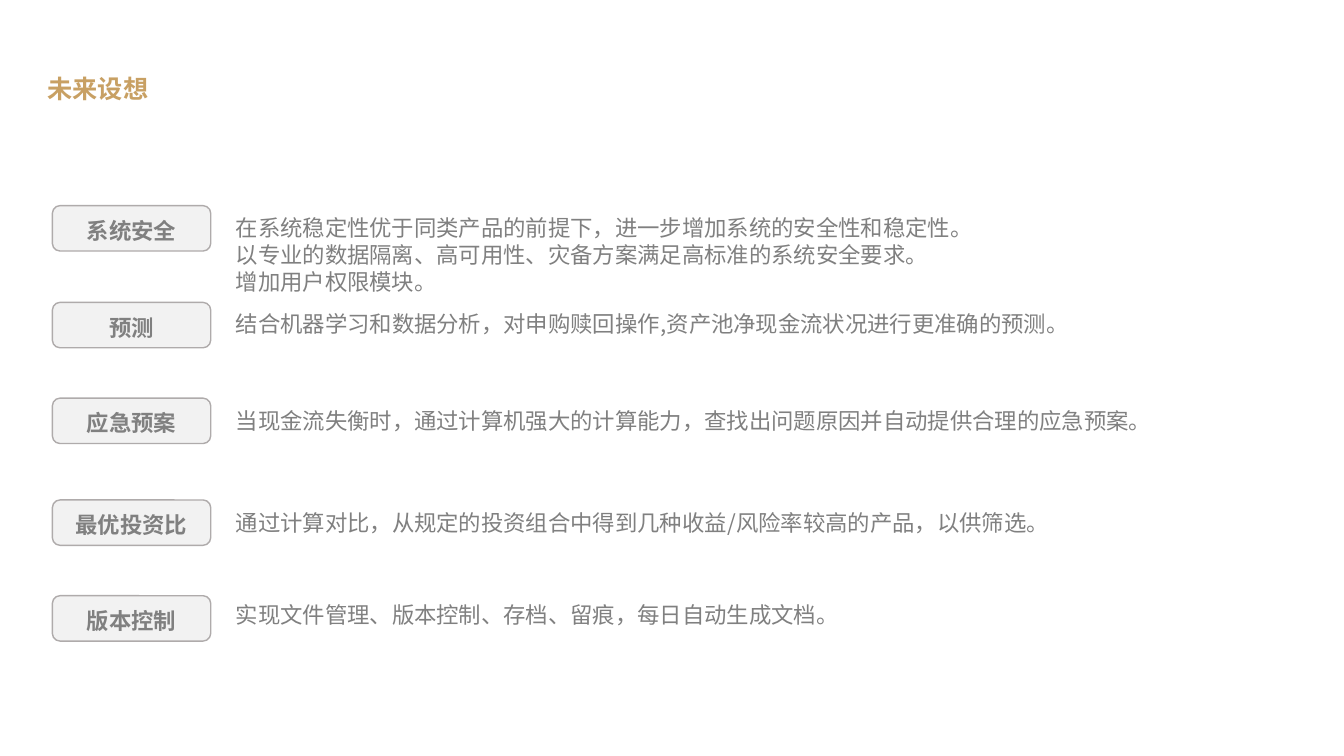
from dataclasses import dataclass

from lxml import etree
from pptx import Presentation
from pptx.dml.color import RGBColor
from pptx.enum.shapes import MSO_SHAPE
from pptx.enum.text import MSO_ANCHOR, MSO_AUTO_SIZE, PP_ALIGN
from pptx.oxml.ns import qn
from pptx.util import Pt

ROUND = MSO_SHAPE.ROUNDED_RECTANGLE
TOP, BOTTOM = MSO_ANCHOR.TOP, MSO_ANCHOR.BOTTOM
FIXED = MSO_AUTO_SIZE.NONE
LEFT, CENTER = PP_ALIGN.LEFT, PP_ALIGN.CENTER
TITLE_ONLY = 5
SCALE = 9144


@dataclass(frozen=True)
class Theme:
    """Colours, font and type sizes of the slide."""
    face: str = "Noto Sans CJK SC"
    gold: str = "C8A063"
    gray: str = "808080"
    fill: str = "F2F2F2"
    edge: str = "AFABAB"
    head: int = 18
    body: int = 16


THEME = Theme()
LABEL_X, LABEL_W, LABEL_H = 52, 157, 45
NOTE_X, LINE_H, PAD = 224, 27, 10

ROWS = [
    ("系统安全", 204, 208, 877, [
        "在系统稳定性优于同类产品的前提下，进一步增加系统的安全性和稳定性。",
        "以专业的数据隔离、高可用性、灾备方案满足高标准的系统安全要求。",
        "增加用户权限模块。"]),
    ("预测", 300, 303, 1031, [
        "结合机器学习和数据分析，对申购赎回操作,资产池净现金流状况进行更准确的预测。"]),
    ("应急预案", 395, 399, 919, [
        "当现金流失衡时，通过计算机强大的计算能力，查找出问题原因并自动提供合理的应急预案。"]),
    ("最优投资比", 496, 500, 999, [
        "通过计算对比，从规定的投资组合中得到几种收益/风险率较高的产品，以供筛选。"]),
    ("版本控制", 591, 591, 999, [
        "实现文件管理、版本控制、存档、留痕，每日自动生成文档。"]),
]


def px(*values):
    """Turn px lengths into EMU."""
    return [value * SCALE for value in values]


def place(shape, *box):
    """Move and size a shape by px."""
    shape.left, shape.top, shape.width, shape.height = px(*box)


def write(shape, lines, size, color, bold=False, align=LEFT, anchor=TOP):
    """Fill a shape with styled paragraphs."""
    frame = shape.text_frame
    frame.text = "\n".join(lines)
    frame.word_wrap = True
    frame.auto_size = FIXED
    frame.vertical_anchor = anchor
    for para in frame.paragraphs:
        para.alignment = align
        font = para.font
        font.size, font.bold, font.name = Pt(size), bold, THEME.face
        font.color.rgb = RGBColor.from_string(color)
        props = para._p.pPr.find(qn("a:defRPr"))
        etree.SubElement(props, qn("a:ea"), typeface=THEME.face)


def add_title(slide, text):
    """Set the slide title."""
    title = slide.shapes.title
    place(title, 37, 63, 1271, 45)
    write(title, [text], THEME.head, THEME.gold, bold=True)
    para = title.text_frame.paragraphs[0]
    para.line_spacing, para.space_before = 1.15, Pt(24)


def add_label(slide, text, top):
    """Add a rounded label."""
    label = slide.shapes.add_shape(ROUND, *px(LABEL_X, top, LABEL_W, LABEL_H))
    label.shadow.inherit = False
    label.fill.solid()
    label.fill.fore_color.rgb = RGBColor.from_string(THEME.fill)
    label.line.color.rgb = RGBColor.from_string(THEME.edge)
    label.line.width = Pt(1)
    write(label, [text], THEME.body, THEME.gray, True, CENTER, BOTTOM)


def add_note(slide, lines, top, width):
    """Add the text beside a label."""
    height = PAD + LINE_H * len(lines)
    note = slide.shapes.add_textbox(*px(NOTE_X, top, width, height))
    write(note, lines, THEME.body, THEME.gray)


def main():
    """Build and save the slide."""
    deck = Presentation()
    deck.slide_width, deck.slide_height = px(1333, 750)
    slide = deck.slides.add_slide(deck.slide_layouts[TITLE_ONLY])
    add_title(slide, "未来设想")
    for name, top, note_top, width, lines in ROWS:
        add_label(slide, name, top)
        add_note(slide, lines, note_top, width)
    deck.save("out.pptx")


if __name__ == "__main__":
    main()
